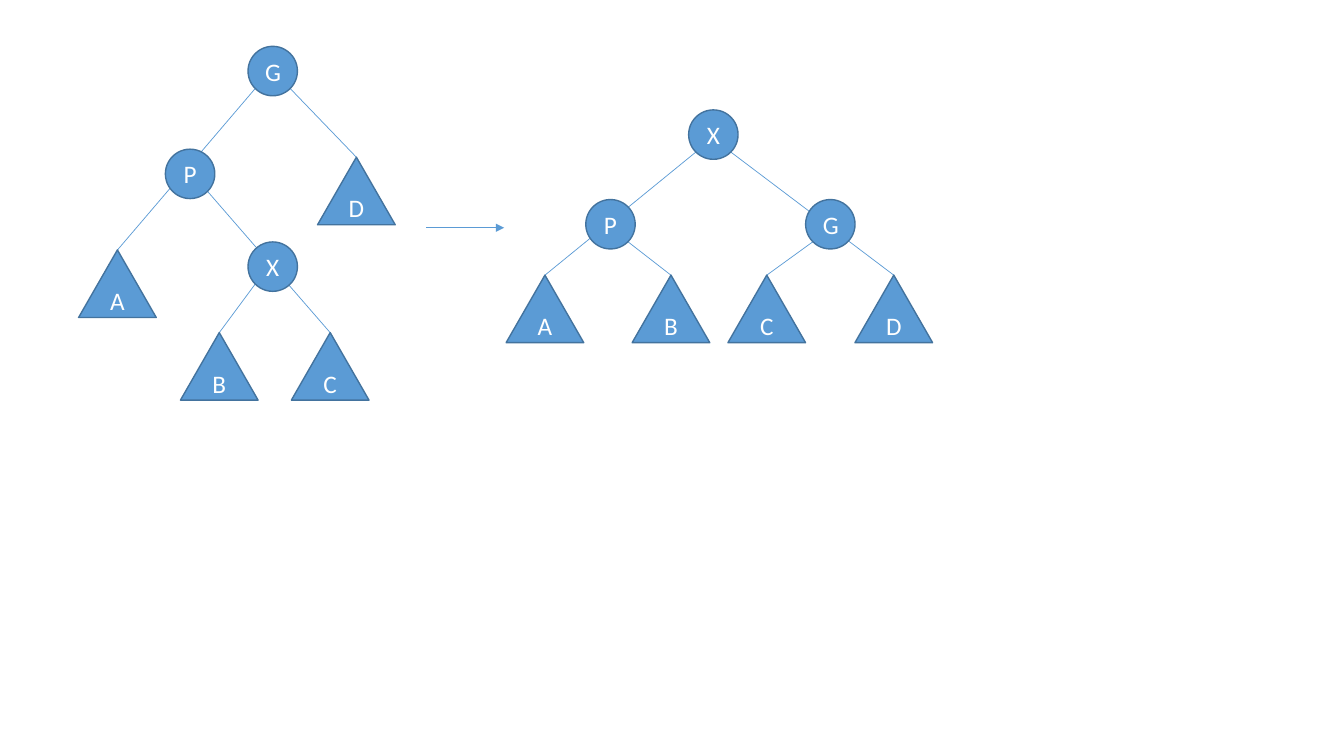
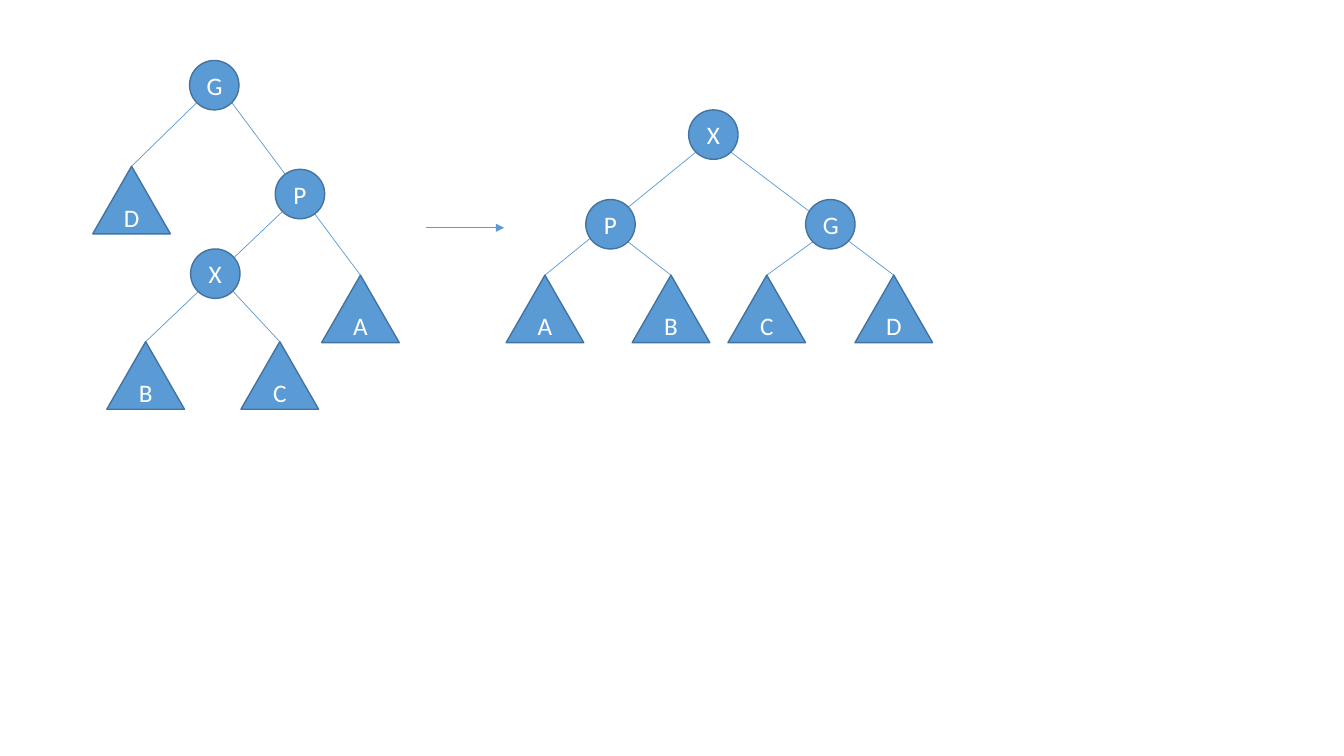
"""Draw the two zig-zag rotations of a splay tree, before and after."""
from dataclasses import dataclass

from lxml import etree
from pptx import Presentation
from pptx import util as u
from pptx.dml.color import RGBColor
from pptx.enum import shapes, text
from pptx.oxml import ns


@dataclass(frozen=True)
class Theme:
    fill: RGBColor = RGBColor(0x5B, 0x9B, 0xD5)
    outline: RGBColor = RGBColor(0x43, 0x73, 0x9E)
    label: RGBColor = RGBColor(0xFF, 0xFF, 0xFF)
    font: str = "Calibri"
    label_size: float = 18
    outline_width: float = 1
    edge_width: float = 0.5


theme = Theme()
CIRCLE = 0.49
SUBTREE_WIDTH, SUBTREE_HEIGHT = 0.77, 0.67
RIM = 0.175


def add_label(shape, label, size=theme.label_size, color=theme.label, font=theme.font):
    frame = shape.text_frame
    frame.vertical_anchor = text.MSO_ANCHOR.MIDDLE
    paragraph = frame.paragraphs[0]
    paragraph.alignment = text.PP_ALIGN.CENTER
    run = paragraph.add_run()
    run.text = label
    run.font.size = u.Pt(size)
    run.font.name = font
    run.font.color.rgb = color


def add_line(slide, start, end, arrow=False):
    line = slide.shapes.add_connector(
        shapes.MSO_CONNECTOR.STRAIGHT, *(u.Inches(value) for value in (*start, *end)))
    line.line.color.rgb = theme.fill
    line.line.width = u.Pt(theme.edge_width)
    if arrow:
        etree.SubElement(line.line._get_or_add_ln(), ns.qn("a:tailEnd"), type="triangle")
    etree.SubElement(line._element.spPr, ns.qn("a:effectLst"))


zig_zag_left = {
    "nodes": {"G": (2.46, 0.46), "X": (2.46, 2.4), "P": (1.64, 1.48), "C": (2.89, 3.3),
              "B": (1.79, 3.3), "D": (3.15, 1.56), "A": (0.78, 2.48)},
    "edges": ["GA", "PC", "XB", "GD"],
}
zig_zag_right = {
    "nodes": {"G": (1.88, 0.6), "X": (1.89, 2.47), "P": (2.73, 1.68), "C": (2.39, 3.39),
              "B": (1.06, 3.39), "D": (0.92, 1.65), "A": (3.19, 2.73)},
    "edges": ["PB", "XC", "GD", "GA"],
}
rotated = {
    "nodes": {"G": (7.99, 1.98), "P": (5.81, 1.98), "X": (6.83, 1.09), "C": (7.22, 2.73),
              "B": (6.27, 2.73), "D": (8.48, 2.73), "A": (5.02, 2.73)},
    "edges": ["XD", "XA", "PB", "GC"],
}

deck = Presentation()
deck.slide_width, deck.slide_height = u.Inches(13.33), u.Inches(7.5)

for before in (zig_zag_left, zig_zag_right):
    slide = deck.slides.add_slide(deck.slide_layouts[6])
    for tree in (before, rotated):
        nodes = tree["nodes"]

        for parent, leaf in tree["edges"]:
            center_x, center_y = (value + CIRCLE / 2 for value in nodes[parent])
            apex = (nodes[leaf][0] + SUBTREE_WIDTH / 2, nodes[leaf][1])
            side = RIM if apex[0] > center_x else -RIM
            add_line(slide, (center_x + side, center_y + RIM), apex)

        for name, (left, top) in nodes.items():
            if name in "GPX":
                outline, width, height = shapes.MSO_SHAPE.OVAL, CIRCLE, CIRCLE
            else:
                outline = shapes.MSO_SHAPE.ISOSCELES_TRIANGLE
                width, height = SUBTREE_WIDTH, SUBTREE_HEIGHT
            node = slide.shapes.add_shape(
                outline, u.Inches(left), u.Inches(top), u.Inches(width), u.Inches(height))
            node.shadow.inherit = False
            node.fill.solid()
            node.fill.fore_color.rgb = theme.fill
            node.line.color.rgb = theme.outline
            node.line.width = u.Pt(theme.outline_width)
            add_label(node, name)

    add_line(slide, (4.23, 2.26), (5, 2.26), arrow=True)

deck.save("out.pptx")
